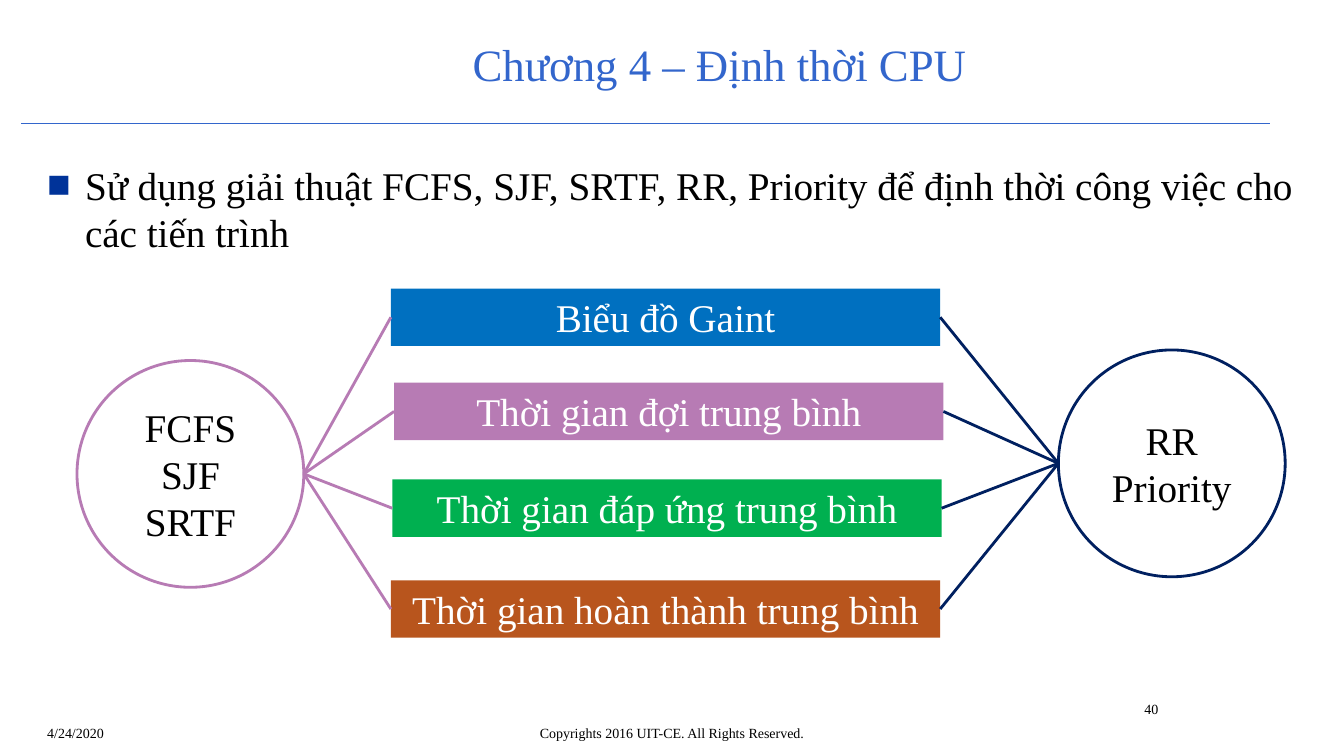
from dataclasses import dataclass

from lxml import etree
from pptx import Presentation
from pptx.dml.color import RGBColor
from pptx.enum.shapes import MSO_CONNECTOR, MSO_SHAPE
from pptx.enum.text import MSO_ANCHOR, PP_ALIGN
from pptx.oxml.ns import qn
from pptx.shapes.autoshape import Shape
from pptx.shapes.connector import Connector
from pptx.slide import Slide
from pptx.util import Pt

LEFT, CENTER, RIGHT = PP_ALIGN.LEFT, PP_ALIGN.CENTER, PP_ALIGN.RIGHT
TOP, MIDDLE = MSO_ANCHOR.TOP, MSO_ANCHOR.MIDDLE
RECTANGLE, OVAL = MSO_SHAPE.RECTANGLE, MSO_SHAPE.OVAL
STRAIGHT = MSO_CONNECTOR.STRAIGHT
LEFT_SIDE, RIGHT_SIDE = 1, 3

FONT = "Times New Roman"
COLORS = {
    "title": "3366CC", "bullet": "003399", "black": "000000", "white": "FFFFFF",
    "blue": "0070C0", "mauve": "B77BB4", "green": "00B050", "rust": "B8551D",
    "navy": "002060",
}
BAR_WIDTH, BAR_HEIGHT = 392.4, 41.04
CIRCLE_SIZE = 162


@dataclass
class Label:
    text: str
    left: float
    top: float
    width: float
    height: float
    size: float = 10
    align: PP_ALIGN = LEFT
    anchor: MSO_ANCHOR = TOP
    color: str = "black"


@dataclass
class Measure:
    text: str
    left: float
    top: float
    color: str


@dataclass
class AlgorithmGroup:
    text: str
    left: float
    top: float
    color: str
    bar_side: int


TITLE = Label("Chương 4 – Định thời CPU", 224.64, 18, 578.88, 54.72,
              32, CENTER, MIDDLE, "title")
TASK = Label("Sử dụng giải thuật FCFS, SJF, SRTF, RR, Priority để định thời "
             "công việc cho các tiến trình", 26.64, 111.6, 907.2, 59.76, 28)
FOOTERS = [
    Label("40", 798.48, 496.8, 36, 37.44, align=RIGHT),
    Label("4/24/2020", 26.64, 514.08, 223.92, 23.04),
    Label("Copyrights 2016 UIT-CE. All Rights Reserved.",
          185.04, 514.08, 589.68, 23.04, align=CENTER),
]
MEASURES = [
    Measure("Biểu đồ Gaint", 279.2, 206.1, "blue"),
    Measure("Thời gian đợi trung bình", 281.5, 273.4, "mauve"),
    Measure("Thời gian đáp ứng trung bình", 280.2, 342.5, "green"),
    Measure("Thời gian hoàn thành trung bình", 279.2, 414.5, "rust"),
]
GROUPS = [
    AlgorithmGroup("FCFS\nSJF\nSRTF", 55, 257.5, "mauve", LEFT_SIDE),
    AlgorithmGroup("RR\nPriority", 756, 250, "navy", RIGHT_SIDE),
]


def rgb(name: str) -> RGBColor:
    return RGBColor.from_string(COLORS[name])


def write(shape: Shape, text: str, size: float, color: str,
          align: PP_ALIGN, anchor: MSO_ANCHOR) -> None:
    frame = shape.text_frame
    frame.text = text
    frame.word_wrap = True
    frame.vertical_anchor = anchor
    for paragraph in frame.paragraphs:
        paragraph.alignment = align
        for run in paragraph.runs:
            run.font.name = FONT
            run.font.size = Pt(size)
            run.font.color.rgb = rgb(color)


def add_label(slide: Slide, label: Label) -> Shape:
    box = slide.shapes.add_textbox(
        Pt(label.left), Pt(label.top), Pt(label.width), Pt(label.height))
    write(box, label.text, label.size, label.color, label.align, label.anchor)
    return box


def add_square_bullet(box: Shape, indent: float) -> None:
    properties = box.text_frame.paragraphs[0]._p.get_or_add_pPr()
    properties.set("marL", str(Pt(indent)))
    properties.set("indent", str(Pt(-indent)))
    bullet_color = etree.SubElement(properties, qn("a:buClr"))
    etree.SubElement(bullet_color, qn("a:srgbClr"), val=COLORS["bullet"])
    etree.SubElement(properties, qn("a:buFont"), typeface=FONT)
    etree.SubElement(properties, qn("a:buChar"), char="■")


def add_line(slide: Slide, start: tuple[float, float], end: tuple[float, float],
             color: str, width: float) -> Connector:
    line = slide.shapes.add_connector(STRAIGHT, *map(Pt, start + end))
    line.line.color.rgb = rgb(color)
    line.line.width = Pt(width)
    etree.SubElement(line._element.spPr, qn("a:effectLst"))
    return line


def add_measure(slide: Slide, measure: Measure) -> Shape:
    bar = slide.shapes.add_shape(RECTANGLE, Pt(measure.left), Pt(measure.top),
                                 Pt(BAR_WIDTH), Pt(BAR_HEIGHT))
    bar.shadow.inherit = False
    bar.fill.solid()
    bar.fill.fore_color.rgb = rgb(measure.color)
    bar.line.fill.background()
    write(bar, measure.text, 28, "white", CENTER, TOP)
    return bar


def add_group(slide: Slide, group: AlgorithmGroup, bars: list[Shape]) -> None:
    """Draw the circle and the lines from its inner side to every bar."""
    circle = slide.shapes.add_shape(OVAL, Pt(group.left), Pt(group.top),
                                    Pt(CIRCLE_SIZE), Pt(CIRCLE_SIZE))
    circle.shadow.inherit = False
    circle.fill.solid()
    circle.fill.fore_color.rgb = rgb("white")
    circle.line.color.rgb = rgb(group.color)
    circle.line.width = Pt(2)
    write(circle, group.text, 28, "black", CENTER, MIDDLE)
    hub_x = group.left + (CIRCLE_SIZE if group.bar_side == LEFT_SIDE else 0)
    hub = (hub_x, group.top + CIRCLE_SIZE / 2)
    for bar in bars:
        link = add_line(slide, hub, hub, group.color, 2)
        link.begin_connect(bar, group.bar_side)


def main() -> None:
    presentation = Presentation()
    presentation.slide_width, presentation.slide_height = Pt(960), Pt(540)
    slide = presentation.slides.add_slide(presentation.slide_layouts[6])

    add_line(slide, (15.12, 88.56), (907.2, 88.56), "title", 0.75)
    for label in [*FOOTERS, TITLE]:
        add_label(slide, label)
    add_square_bullet(add_label(slide, TASK), 27)

    bars = [add_measure(slide, measure) for measure in MEASURES]
    for group in GROUPS:
        add_group(slide, group, bars)
    presentation.save("out.pptx")


if __name__ == "__main__":
    main()
